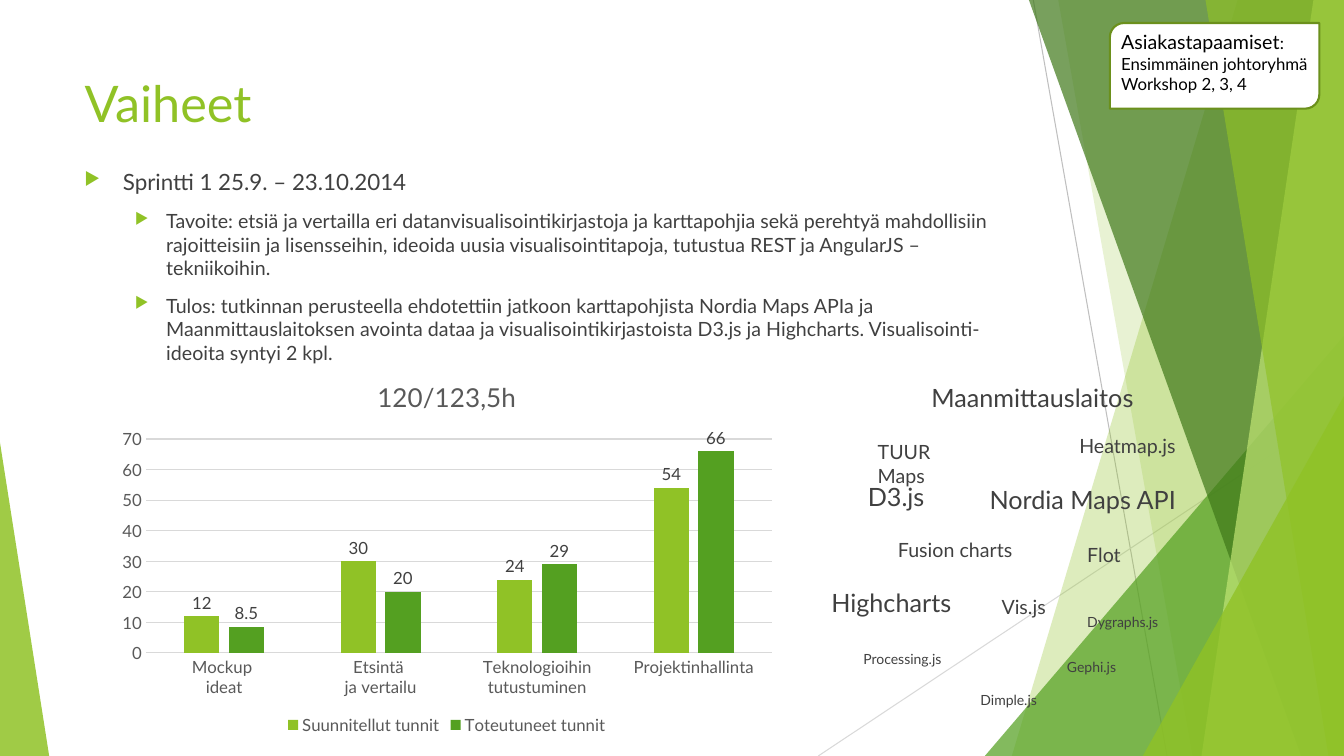
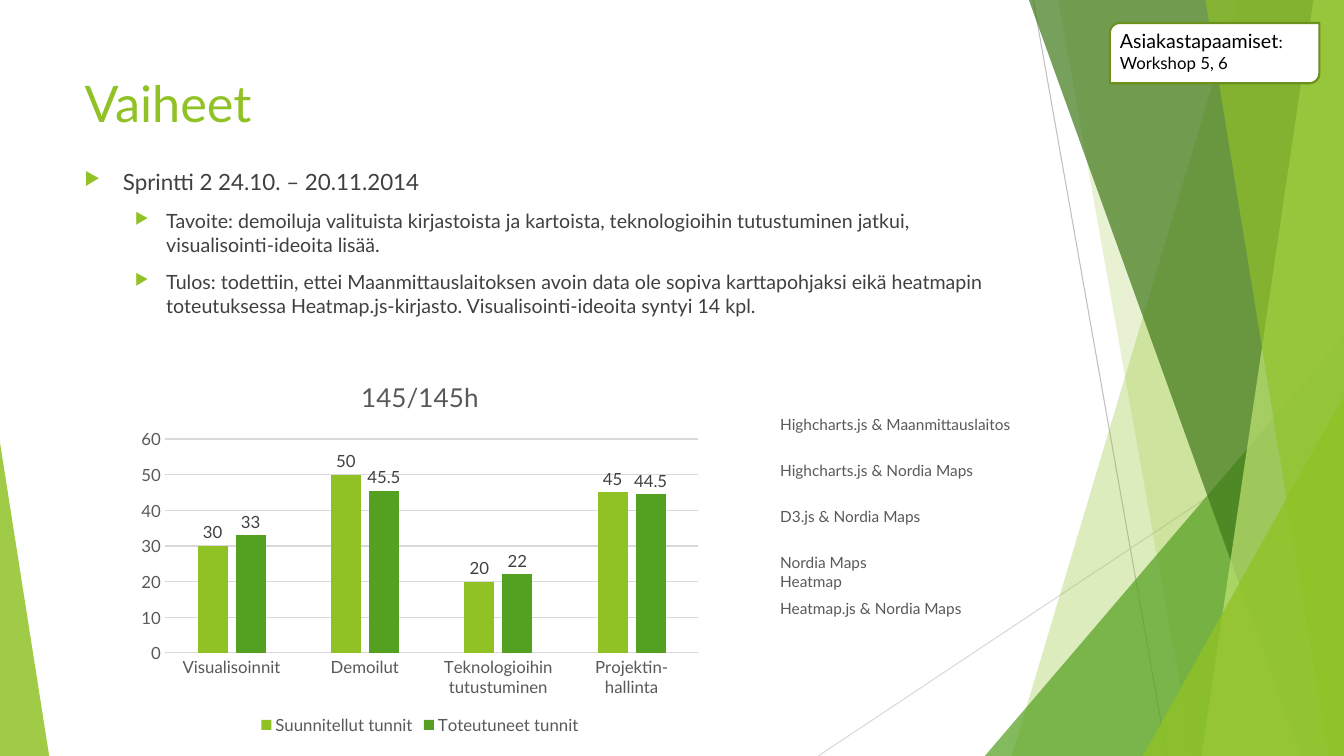
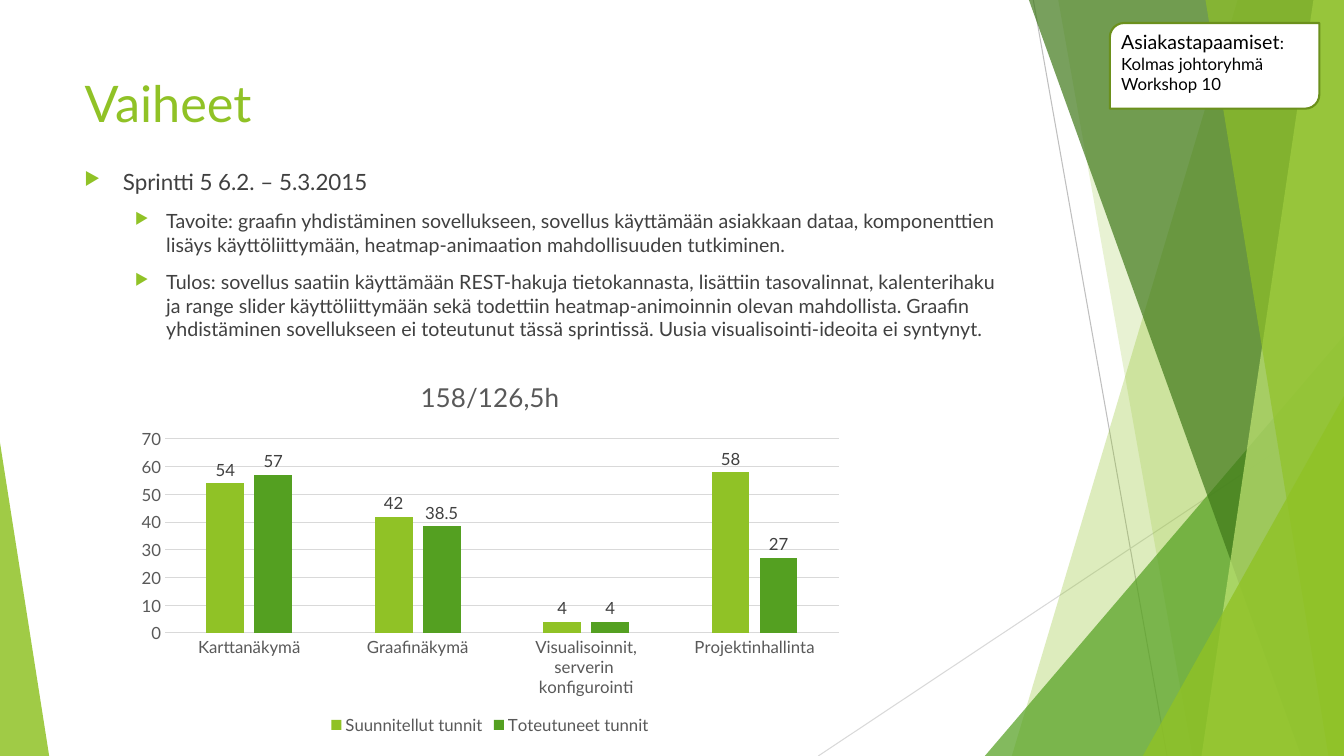
from lxml.etree import SubElement
from pptx import Presentation
from pptx.chart.data import CategoryChartData
from pptx.dml.color import RGBColor
from pptx.enum.chart import XL_CHART_TYPE, XL_LABEL_POSITION, XL_LEGEND_POSITION, XL_TICK_MARK
from pptx.enum.shapes import MSO_CONNECTOR, MSO_SHAPE
from pptx.enum.text import MSO_ANCHOR, MSO_AUTO_SIZE, PP_ALIGN
from pptx.oxml import parse_xml
from pptx.oxml.ns import nsdecls, qn
from pptx.util import Cm, Pt

WIDTH, HEIGHT = 33.87, 19.05
LIME, GREEN, FOREST, PALE = "90C226", "54A021", "3F7819", "C0E474"
WHITE, BLACK, DARK, GREY, RULE = "FFFFFF", "000000", "404040", "595959", "D9D9D9"
TITLE_BOX = (1.88, 1.7, 23.88, 3.66)
BODY_BOX = (1.88, 4.11, 23.88, 10.77)
LABEL_HEIGHTS = {18: 1.02, 14: 0.86, 11: 0.74, 10: 0.69}
CHART_TOP, CHART_HEIGHT = 9.09, 9.53

BACKDROP = [
    ("band", (31.19, 25.5), LIME, 30),
    ("band", (26.67, 30.05), LIME, 20),
    ("triangle", (24.82, 8.46, 9.05, 10.59, 1), GREEN, 72),
    ("band", (25.93, 32.79), FOREST, 70),
    ("band", (33.1, 30.28), PALE, 70),
    ("band", (30.38, 33.48), LIME, 65),
    ("triangle", (28.8, 9.98, 5.07, 9.07, 1), LIME, 80),
    ("triangle", (0, 11.15, 1.24, 7.9, 0), LIME, 85),
]

SPRINTS = [
    {
        "body": [
            "Sprintti 1 25.9. – 23.10.2014",
            "Tavoite: etsiä ja vertailla eri datanvisualisointikirjastoja ja karttapohjia sekä perehtyä "
            "mahdollisiin rajoitteisiin ja lisensseihin, ideoida uusia visualisointitapoja, tutustua REST "
            "ja AngularJS –tekniikoihin.",
            "Tulos: tutkinnan perusteella ehdotettiin jatkoon karttapohjista Nordia Maps APIa ja "
            "Maanmittauslaitoksen avointa dataa ja visualisointikirjastoista D3.js ja Highcharts. "
            "Visualisointi-ideoita syntyi 2 kpl.",
        ],
        "hours": "120/123,5h",
        "chart": (2.74, 17.04, 5.39, 70),
        "tasks": ["Mockup \nideat", "Etsintä \nja vertailu", "Teknologioihin\ntutustuminen",
                  "Projektinhallinta"],
        "planned": [12, 30, 24, 54],
        "actual": [8.5, 20, 29, 66],
        "meetings": ["Ensimmäinen johtoryhmä", "Workshop 2, 3, 4"],
        "label_color": DARK,
        "labels": [
            ("TUUR\vMaps", 14, 21.87, 10.97, 2.9),
            ("Maanmittauslaitos", 18, 23.22, 9.5, 5.74),
            ("D3.js", 18, 21.62, 12.01, 1.98),
            ("Heatmap.js", 14, 26.95, 10.82, 3.1),
            ("Highcharts", 18, 20.7, 14.68, 3.56),
            ("Fusion charts", 14, 22.38, 13.44, 3.45),
            ("Vis.js", 14, 24.99, 14.86, 1.7),
            ("Flot", 14, 27.15, 13.56, 1.4),
            ("Nordia Maps API", 18, 24.69, 12.09, 5.84),
            ("Processing.js", 10, 21.51, 16.26, 2.59),
            ("Dygraphs.js", 10, 27.15, 15.34, 2.34),
            ("Dimple.js", 10, 24.46, 17.3, 2.03),
            ("Gephi.js", 10, 26.64, 16.48, 1.85),
        ],
    },
    {
        "body": [
            "Sprintti 2 24.10. – 20.11.2014",
            "Tavoite: demoiluja valituista kirjastoista ja kartoista, teknologioihin tutustuminen jatkui, "
            "visualisointi-ideoita lisää.",
            "Tulos: todettiin, ettei Maanmittauslaitoksen avoin data ole sopiva karttapohjaksi eikä "
            "heatmapin toteutuksessa Heatmap.js-kirjasto. Visualisointi-ideoita syntyi 14 kpl.",
        ],
        "hours": "145/145h",
        "chart": (3.23, 14.71, 5.39, 60),
        "tasks": ["Visualisoinnit", "Demoilut", "Teknologioihin\ntutustuminen", "Projektin-\nhallinta"],
        "planned": [30, 50, 20, 45],
        "actual": [33, 45.5, 22, 44.5],
        "meetings": ["Workshop 5, 6"],
        "label_color": GREY,
        "labels": [
            (pairing, 11, 19.41, 10.34 + 1.16 * row, width)
            for row, (pairing, width) in enumerate([
                ("Highcharts.js & Maanmittauslaitos", 6.53),
                ("Highcharts.js & Nordia Maps", 5.54),
                ("D3.js & Nordia Maps", 4.11),
                ("Nordia Maps\vHeatmap", 4.39),
                ("Heatmap.js & Nordia Maps", 5.26),
            ])
        ],
    },
    {
        "body": [
            "Sprintti 5 6.2. – 5.3.2015",
            "Tavoite: graafin yhdistäminen sovellukseen, sovellus käyttämään asiakkaan dataa, "
            "komponenttien lisäys käyttöliittymään, heatmap-animaation mahdollisuuden tutkiminen.",
            "Tulos: sovellus saatiin käyttämään REST-hakuja tietokannasta, lisättiin tasovalinnat, "
            "kalenterihaku ja range slider käyttöliittymään sekä todettiin heatmap-animoinnin olevan "
            "mahdollista. Graafin yhdistäminen sovellukseen ei toteutunut tässä sprintissä. Uusia "
            "visualisointi-ideoita ei syntynyt.",
        ],
        "hours": "158/126,5h",
        "chart": (3.23, 18.24, 4.89, 70),
        "tasks": ["Karttanäkymä", "Graafinäkymä", "Visualisoinnit,\nserverin \nkonfigurointi",
                  "Projektinhallinta"],
        "planned": [54, 42, 4, 58],
        "actual": [57, 38.5, 4, 27],
        "meetings": ["Kolmas johtoryhmä", "Workshop 10"],
        "label_color": DARK,
        "labels": [],
    },
]


def rgb(color):
    return RGBColor.from_string(color)


def set_font(font, size, color):
    font.name = "Lato"
    font.size = Pt(size)
    font.color.rgb = rgb(color)


def paint(shape, color, opacity=100):
    shape.shadow.inherit = False
    shape.fill.solid()
    shape.fill.fore_color.rgb = rgb(color)
    shape.line.fill.background()
    if opacity < 100:
        tint = shape.fill._xPr.find(".//" + qn("a:srgbClr"))
        SubElement(tint, qn("a:alpha"), val=str(opacity * 1000))


def add_rule(slide, start, end, color):
    rule = slide.shapes.add_connector(MSO_CONNECTOR.STRAIGHT, *map(Cm, start + end))
    rule.line.color.rgb = rgb(color)
    rule.line.width = Pt(0.75)
    SubElement(rule.element.spPr, qn("a:effectLst"))
    return rule


def add_band(slide, top_x, bottom_x):
    outline = slide.shapes.build_freeform(Cm(top_x), 0)
    corners = [(WIDTH, 0), (WIDTH, HEIGHT), (bottom_x, HEIGHT)]
    outline.add_line_segments([(Cm(x), Cm(y)) for x, y in corners], close=True)
    return outline.convert_to_shape()


def add_triangle(slide, left, top, width, height, apex):
    triangle = slide.shapes.add_shape(MSO_SHAPE.ISOSCELES_TRIANGLE, *map(Cm, (left, top, width, height)))
    triangle.adjustments[0] = apex
    return triangle


def move_backdrop_to_layout(slide, layout):
    for placeholder in list(layout.placeholders)[1:]:
        layout.shapes.element.remove(placeholder.element)
    facets = [add_rule(slide, (26.04, 0), (29.41, HEIGHT), "BFBFBF"),
              add_rule(slide, (WIDTH, 10.24), (20.62, HEIGHT), RULE)]
    builders = {"band": add_band, "triangle": add_triangle}
    for kind, geometry, color, opacity in BACKDROP:
        facet = builders[kind](slide, *geometry)
        paint(facet, color, opacity)
        facets.append(facet)
    for facet in facets:
        layout.shapes.element.append(facet.element)


def set_title(slide, text):
    title = slide.shapes.title
    title.left, title.top, title.width, title.height = map(Cm, TITLE_BOX)
    frame = title.text_frame
    frame.text = text
    frame.vertical_anchor = MSO_ANCHOR.TOP
    frame.auto_size = MSO_AUTO_SIZE.NONE
    frame.paragraphs[0].alignment = PP_ALIGN.LEFT
    set_font(frame.paragraphs[0].font, 36, LIME)


def add_bullet(paragraph, margin, hanging):
    properties = paragraph._p.get_or_add_pPr()
    properties.set("marL", str(Cm(margin)))
    properties.set("indent", str(-Cm(hanging)))
    bullet_color = SubElement(properties, qn("a:buClr"))
    SubElement(bullet_color, qn("a:srgbClr"), val=LIME)
    SubElement(properties, qn("a:buSzPct"), val="80000")
    SubElement(properties, qn("a:buChar"), char="▶")


def add_body(slide, texts):
    frame = slide.shapes.add_textbox(*map(Cm, BODY_BOX)).text_frame
    frame.word_wrap = True
    for index, text in enumerate(texts):
        paragraph = frame.paragraphs[0] if index == 0 else frame.add_paragraph()
        paragraph.text = text
        if index == 0:
            add_bullet(paragraph, 0.97, 0.97)
            set_font(paragraph.font, 16, DARK)
        else:
            paragraph.level = 1
            add_bullet(paragraph, 2.06, 0.79)
            paragraph.space_before = Pt(10)
            set_font(paragraph.font, 14, DARK)


def add_label(slide, text, size, left, top, width, color):
    box = slide.shapes.add_textbox(*map(Cm, (left, top, width, LABEL_HEIGHTS[size])))
    frame = box.text_frame
    frame.word_wrap = "\v" in text
    frame.auto_size = MSO_AUTO_SIZE.SHAPE_TO_FIT_TEXT
    frame.text = text
    set_font(frame.paragraphs[0].font, size, color)


def add_meetings(slide, meetings):
    height = 0.88 + 0.64 * len(meetings)
    card = slide.shapes.add_shape(MSO_SHAPE.ROUND_2_DIAG_RECTANGLE, *map(Cm, (27.97, 0.58, 5.28, height)))
    paint(card, WHITE)
    card.line.color.rgb = rgb("6B901C")
    card.line.width = Pt(1.5)
    frame = card.text_frame
    frame.word_wrap = True
    frame.vertical_anchor = MSO_ANCHOR.TOP
    frame.margin_left, frame.margin_top = Cm(0.18), Cm(0.08)
    frame.margin_right = frame.margin_bottom = 0
    heading = frame.paragraphs[0]
    for text, size in (("Asiakastapaamiset", 14), (":", 12)):
        run = heading.add_run()
        run.text = text
        set_font(run.font, size, BLACK)
    for meeting in meetings:
        line = frame.add_paragraph()
        line.text = meeting
        set_font(line.font, 12, BLACK)
    for paragraph in frame.paragraphs:
        paragraph.alignment = PP_ALIGN.LEFT


def place_plot(chart, x, y, width, height):
    plot_area = chart.element.find(".//" + qn("c:plotArea"))
    for automatic in plot_area.findall(qn("c:layout")):
        plot_area.remove(automatic)
    plot_area.insert(0, parse_xml(
        f'<c:layout {nsdecls("c")}><c:manualLayout><c:layoutTarget val="inner"/>'
        f'<c:xMode val="edge"/><c:yMode val="edge"/><c:x val="{x:.3f}"/><c:y val="{y:.3f}"/>'
        f'<c:w val="{width:.3f}"/><c:h val="{height:.3f}"/></c:manualLayout></c:layout>'))


def style_axes(chart, maximum):
    tasks, hours = chart.category_axis, chart.value_axis
    for axis in (tasks, hours):
        axis.major_tick_mark = axis.minor_tick_mark = XL_TICK_MARK.NONE
        set_font(axis.tick_labels.font, 12, GREY)
    hours.minimum_scale, hours.maximum_scale, hours.major_unit = 0, maximum, 10
    hours.format.line.fill.background()
    for line in (tasks.format.line, hours.major_gridlines.format.line):
        line.color.rgb = rgb(RULE)
        line.width = Pt(0.75)


def add_hours_chart(slide, sprint):
    left, width, plot_height, maximum = sprint["chart"]
    data = CategoryChartData()
    data.categories = sprint["tasks"]
    data.add_series("Suunnitellut tunnit", sprint["planned"])
    data.add_series("Toteutuneet tunnit", sprint["actual"])
    chart = slide.shapes.add_chart(
        XL_CHART_TYPE.COLUMN_CLUSTERED, *map(Cm, (left, CHART_TOP, width, CHART_HEIGHT)), data).chart
    set_font(chart.font, 10, BLACK)
    heading = chart.chart_title.text_frame
    heading.text = sprint["hours"]
    set_font(heading.paragraphs[0].font, 18.6, GREY)
    heading.paragraphs[0].font.bold = False
    chart.has_legend = True
    chart.legend.position = XL_LEGEND_POSITION.BOTTOM
    chart.legend.include_in_layout = False
    set_font(chart.legend.font, 12, GREY)
    style_axes(chart, maximum)
    plot = chart.plots[0]
    plot.vary_by_categories = False
    plot.gap_width, plot.overlap = 219, -27
    for series, color in zip(plot.series, (LIME, GREEN)):
        series.format.fill.solid()
        series.format.fill.fore_color.rgb = rgb(color)
        labels = series.data_labels
        labels.show_value = True
        labels.position = XL_LABEL_POSITION.OUTSIDE_END
        set_font(labels.font, 12, DARK)
    place_plot(chart, 0.93 / width, 1.97 / CHART_HEIGHT, 1 - 1.26 / width, plot_height / CHART_HEIGHT)


def main():
    deck = Presentation()
    deck.slide_width, deck.slide_height = Cm(WIDTH), Cm(HEIGHT)
    layout = deck.slide_layouts[5]
    for number, sprint in enumerate(SPRINTS):
        slide = deck.slides.add_slide(layout)
        if number == 0:
            move_backdrop_to_layout(slide, layout)
        set_title(slide, "Vaiheet")
        add_body(slide, sprint["body"])
        add_hours_chart(slide, sprint)
        for label in sprint["labels"]:
            add_label(slide, *label, sprint["label_color"])
        add_meetings(slide, sprint["meetings"])
    deck.save("out.pptx")


if __name__ == "__main__":
    main()
